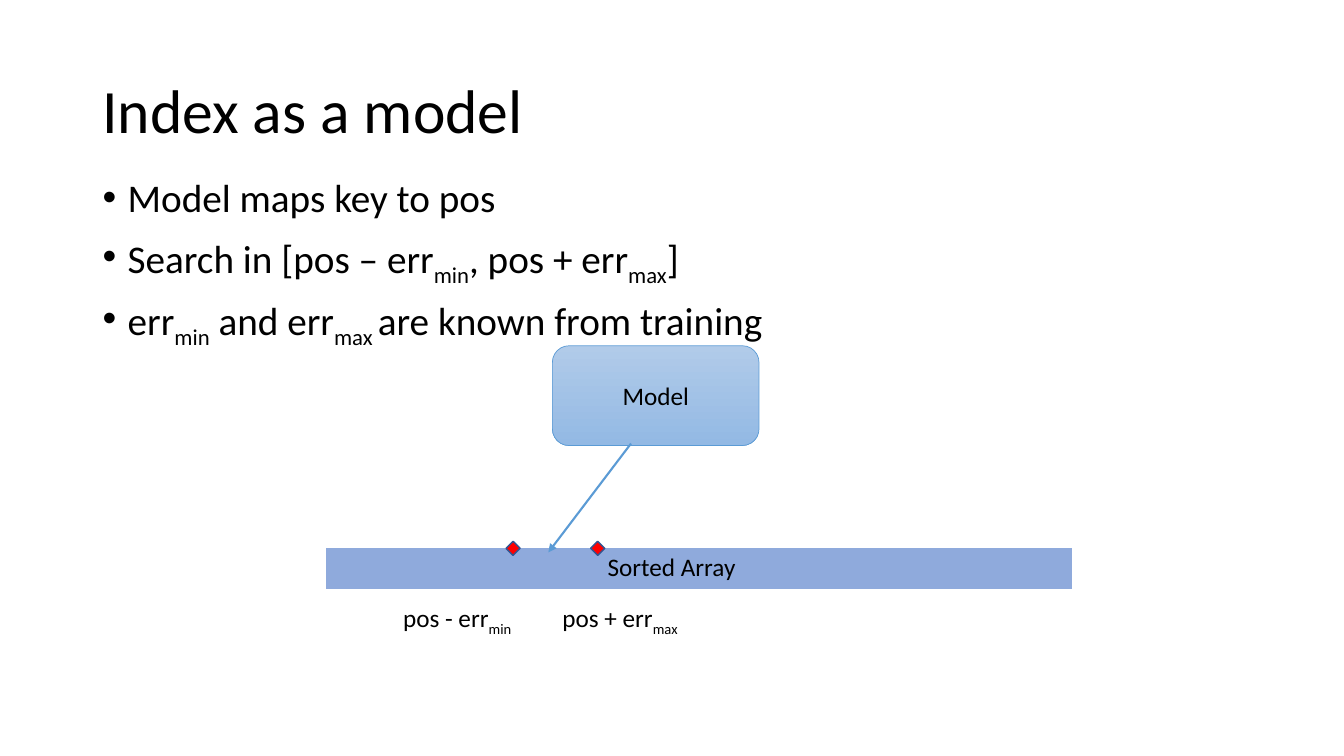
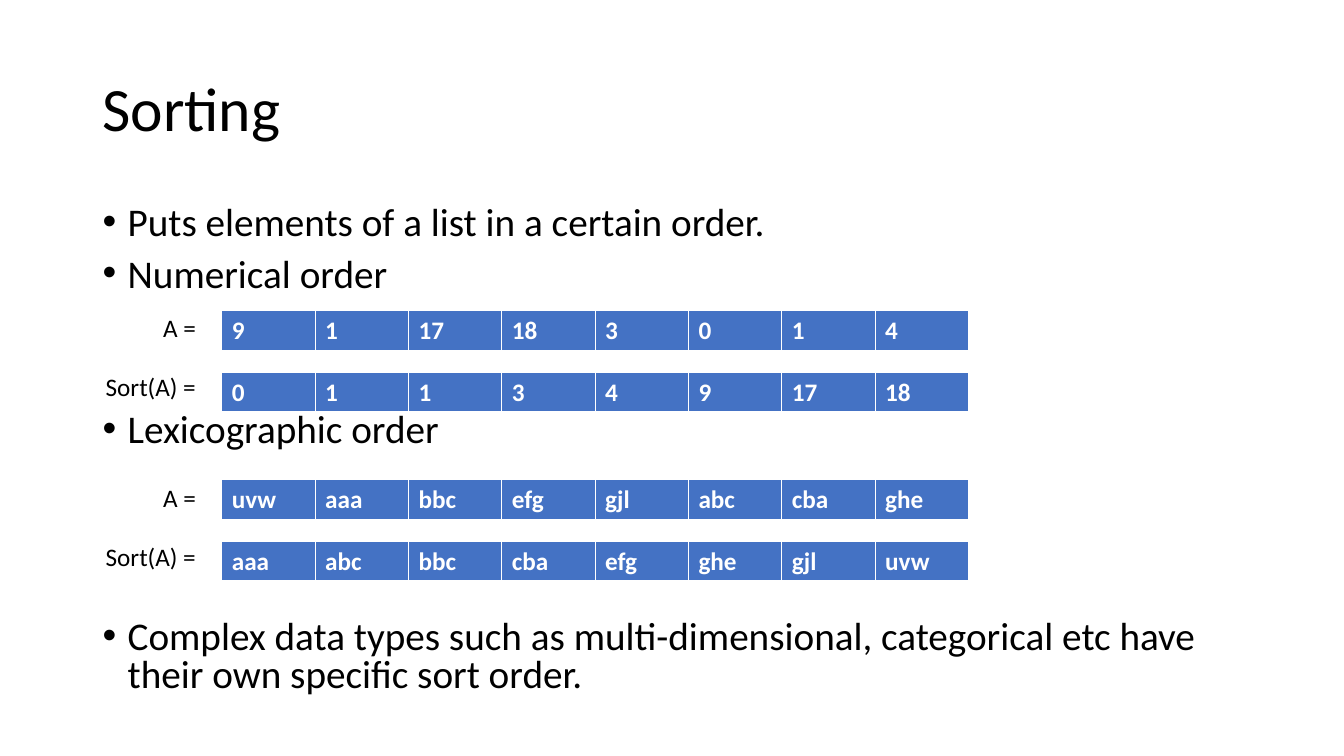
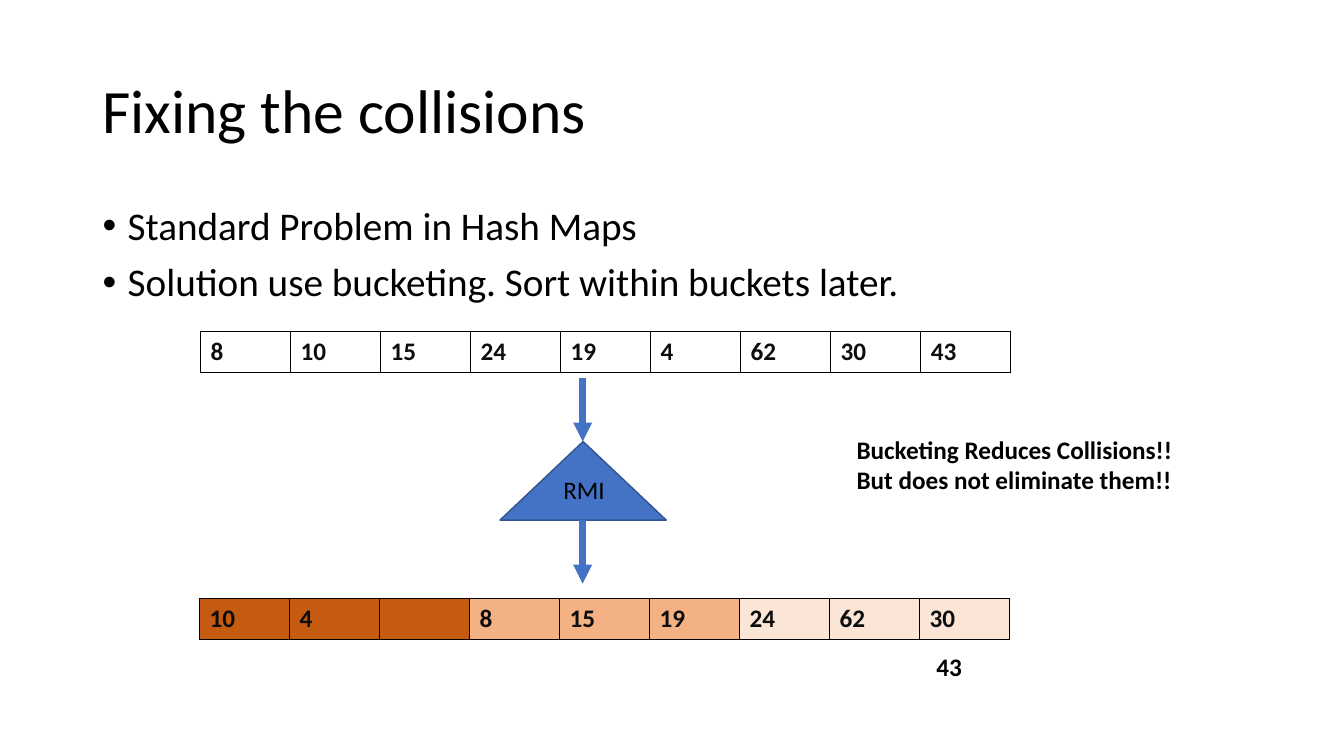
from lxml import etree
from pptx import Presentation
from pptx.dml.color import RGBColor
from pptx.enum.shapes import MSO_CONNECTOR, MSO_SHAPE
from pptx.enum.text import MSO_ANCHOR, MSO_AUTO_SIZE, PP_ALIGN
from pptx.oxml.ns import qn
from pptx.util import Inches, Pt

LINE = MSO_CONNECTOR.STRAIGHT
DIAMOND, ROUND, TRI = MSO_SHAPE.DIAMOND, MSO_SHAPE.ROUNDED_RECTANGLE, MSO_SHAPE.ISOSCELES_TRIANGLE
LEFT, MID = PP_ALIGN.LEFT, PP_ALIGN.CENTER
CENTER, FIXED = MSO_ANCHOR.MIDDLE, MSO_AUTO_SIZE.NONE

# Colours
BLACK, INK = RGBColor(0, 0, 0), RGBColor(0x0D, 0x0D, 0x0D)
WHITE, RED = RGBColor(255, 255, 255), RGBColor(255, 0, 0)
BLUE, NAVY = RGBColor(0x44, 0x72, 0xC4), RGBColor(0x32, 0x54, 0x91)
PALE, SKY = RGBColor(0x8F, 0xAA, 0xDC), RGBColor(0x5B, 0x9B, 0xD5)
FADE = RGBColor(0xB1, 0xCB, 0xE9), RGBColor(0x93, 0xB9, 0xE4)
RUST, PEACH, CREAM = RGBColor(0xC5, 0x5A, 0x11), RGBColor(0xF4, 0xB1, 0x83), RGBColor(0xFB, 0xE5, 0xD6)

# Text looks
HEAD = {"name": "Calibri", "size": Pt(44)}
LIST = {"name": "Calibri", "size": Pt(28)}
NOTE = {"name": "Calibri", "size": Pt(18)}
BOLD = {**NOTE, "bold": True}

# The slide is a grid of square cells, 75 rows high
deck = Presentation()
deck.slide_width, deck.slide_height = Inches(13.333), Inches(7.5)
CELL = deck.slide_height / 75


def grid(*cells):
    return [round(n * CELL) for n in cells]


def write(par, text, look, color=BLACK):
    """Fill a paragraph; every second part between ~ marks is subscript."""
    for i, part in enumerate(text.split("~")):
        if part:
            run = par.add_run()
            run.text = part
            for key, value in look.items():
                setattr(run.font, key, value)
            run.font.color.rgb = color
            if i % 2:
                run._r.get_or_add_rPr().set("baseline", "-25000")


# Titles and lists: title, title top, list top, line spacing, (text, space before)
pages = [
    ("Index as a model", 4, 17.2, 0.9, [
        ("Model maps key to pos", 10),
        ("Search in [pos – err~min~, pos + err~max~]", 10),
        ("err~min~ and err~max ~are known from training", 10)]),
    ("Sorting", 3.8, 20, 0.8, [
        ("Puts elements of a list in a certain order.", 10),
        ("Numerical order", 10),
        ("Lexicographic order", 84),
        ("Complex data types such as multi-dimensional, categorical etc have "
         "their own specific sort order.", 121)]),
    ("Fixing the collisions", 4, 20, 0.9, [
        ("Standard Problem in Hash Maps", 10),
        ("Solution use bucketing. Sort within buckets later.", 10)]),
]
slides = []
for name, top, start, space, items in pages:
    slide = deck.slides.add_slide(deck.slide_layouts[1])
    slides.append(slide)
    title, body = slide.placeholders
    for box, y, high in (title, top, 14.5), (body, start, 50):
        box.left, box.top, box.width, box.height = grid(9.17, y, 115, high)
        box.text_frame.auto_size = FIXED
    title.text_frame.vertical_anchor = CENTER
    par = title.text_frame.paragraphs[0]
    par.alignment, par.line_spacing = LEFT, 0.9
    write(par, name, HEAD)
    frame = body.text_frame
    for i, (text, gap) in enumerate(items):
        par = frame.add_paragraph() if i else frame.paragraphs[0]
        par.line_spacing, par.space_before = space, Pt(gap)
        props = par._p.get_or_add_pPr()
        props.set("marL", str(Inches(0.25)))
        props.set("indent", str(-Inches(0.25)))
        write(par, text, LIST)
model, sort, fix = slides

# Arrays: slide, left, top, cell width, values, fills, ink, border colour, border widths
NONE = dict.fromkeys("LRTB", 0)
THIN = dict.fromkeys("LRTB", 1)
HEAVY = {**THIN, "B": 3}
arrays = [(model, 32.3, 54.4, 9.26, [""] * 8, [PALE] * 8, BLACK, None, NONE)]
words = ["9 1 17 18 3 0 1 4", "0 1 1 3 4 9 17 18",
         "uvw aaa bbc efg gjl abc cba ghe", "aaa abc bbc cba efg ghe gjl uvw"]
for i, row in enumerate(words):
    y = 30.8 + i // 2 * 16.8 + i % 2 * 6.1
    arrays.append((sort, 22, y, 9.26, row.split(), [BLUE] * 8, WHITE, WHITE, HEAVY))
arrays += [
    (fix, 19.9, 32.9, 8.93, "8 10 15 24 19 4 62 30 43".split(), [WHITE] * 9, INK, BLACK, THIN),
    (fix, 19.8, 59.4, 8.93, ["10", "4", "", "8", "15", "19", "24", "62", "30"],
     [RUST] * 3 + [PEACH] * 3 + [CREAM] * 3, INK, BLACK, THIN),
]
for slide, x, y, wide, texts, fills, ink, edge, widths in arrays:
    count = len(texts)
    table = slide.shapes.add_table(1, count, *grid(x, y, wide * count, 4.06)).table
    table.first_row = table.horz_banding = False
    for i, (text, fill) in enumerate(zip(texts, fills)):
        table.columns[i].width = grid(wide)[0]
        cell = table.cell(0, i)
        props = cell._tc.get_or_add_tcPr()
        for side, width in widths.items():
            rule = etree.SubElement(props, qn("a:ln" + side), w=str(Pt(width)))
            if width:
                paint = etree.SubElement(rule, qn("a:solidFill"))
                etree.SubElement(paint, qn("a:srgbClr"), val=str(edge))
            else:
                etree.SubElement(rule, qn("a:noFill"))
        cell.fill.solid()
        cell.fill.fore_color.rgb = fill
        write(cell.text_frame.paragraphs[0], text, BOLD, ink)

# Shapes: slide, kind, place, fill, line colour, line width
shapes = [
    (model, DIAMOND, (50.2, 53.7, 1.4, 1.4), RED, NAVY, 1),
    (model, DIAMOND, (58.6, 53.7, 1.4, 1.4), RED, NAVY, 1),
    (model, ROUND, (54.8, 34.3, 20.5, 9.9), FADE, SKY, 0.5),
    (fix, TRI, (49.6, 43.8, 16.5, 7.8), BLUE, NAVY, 1),
]
for slide, kind, place, fill, edge, width in shapes:
    shape = slide.shapes.add_shape(kind, *grid(*place))
    shape.shadow.inherit = False
    shape.line.color.rgb, shape.line.width = edge, Pt(width)
    if fill is FADE:
        shape.fill.gradient()
        shape.fill.gradient_angle = 270
        for stop, tone in zip(shape.fill.gradient_stops, FADE):
            stop.color.rgb = tone
    else:
        shape.fill.solid()
        shape.fill.fore_color.rgb = fill
    if kind == ROUND:
        shape.text_frame.vertical_anchor = CENTER
        par = shape.text_frame.paragraphs[0]
        par.alignment = MID
        write(par, "Model", NOTE)

# Arrows: slide, from and to, colour, width
arrows = [
    (model, (62.6, 44, 54.4, 54.8), SKY, 1.5),
    (fix, (57.8, 37.5, 57.8, 43.8), BLUE, 4.5),
    (fix, (57.8, 51.6, 57.8, 57.9), BLUE, 4.5),
]
for slide, ends, color, width in arrows:
    arrow = slide.shapes.add_connector(LINE, *grid(*ends))
    arrow.line.color.rgb, arrow.line.width = color, Pt(width)
    props = arrow._element.spPr
    etree.SubElement(props.find(qn("a:ln")), qn("a:tailEnd"), type="triangle")
    etree.SubElement(props, qn("a:effectLst"))

# Labels: slide, left, top, width, height, text, look
labels = [
    (model, 59.3, 54.2, 16, 4, "Sorted Array", NOTE),
    (model, 39, 59.3, 15.2, 4, "pos - err~min~", NOTE),
    (model, 54.8, 59.3, 21.1, 4, "pos + err~max~", NOTE),
    (fix, 54.9, 46.6, 30, 4, "RMI", NOTE),
    (fix, 91.9, 64.1, 30, 4, "43", BOLD),
    (fix, 84, 42.6, 34.3, 7.1, "Bucketing Reduces Collisions!! But does not eliminate them!!", BOLD),
]
for y in 30.5, 47.4:
    labels += [(sort, 15.2, y, 7.1, 4, "A =", NOTE),
               (sort, 9.5, y + 5.8, 12.4, 4, "Sort(A) =", NOTE)]
for slide, x, y, wide, high, text, look in labels:
    frame = slide.shapes.add_textbox(*grid(x, y, wide, high)).text_frame
    frame.word_wrap = True
    write(frame.paragraphs[0], text, look)

deck.save("out.pptx")
